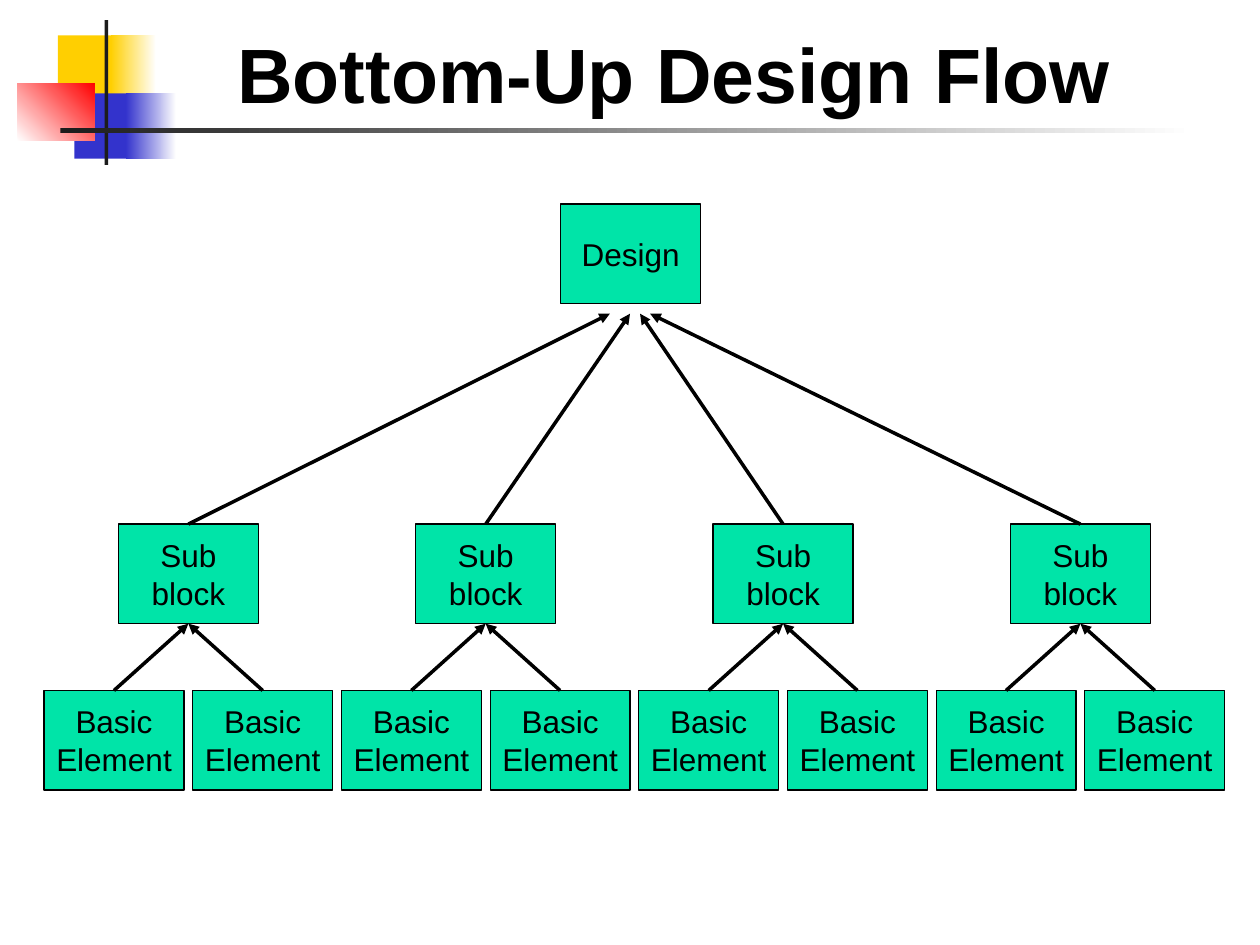
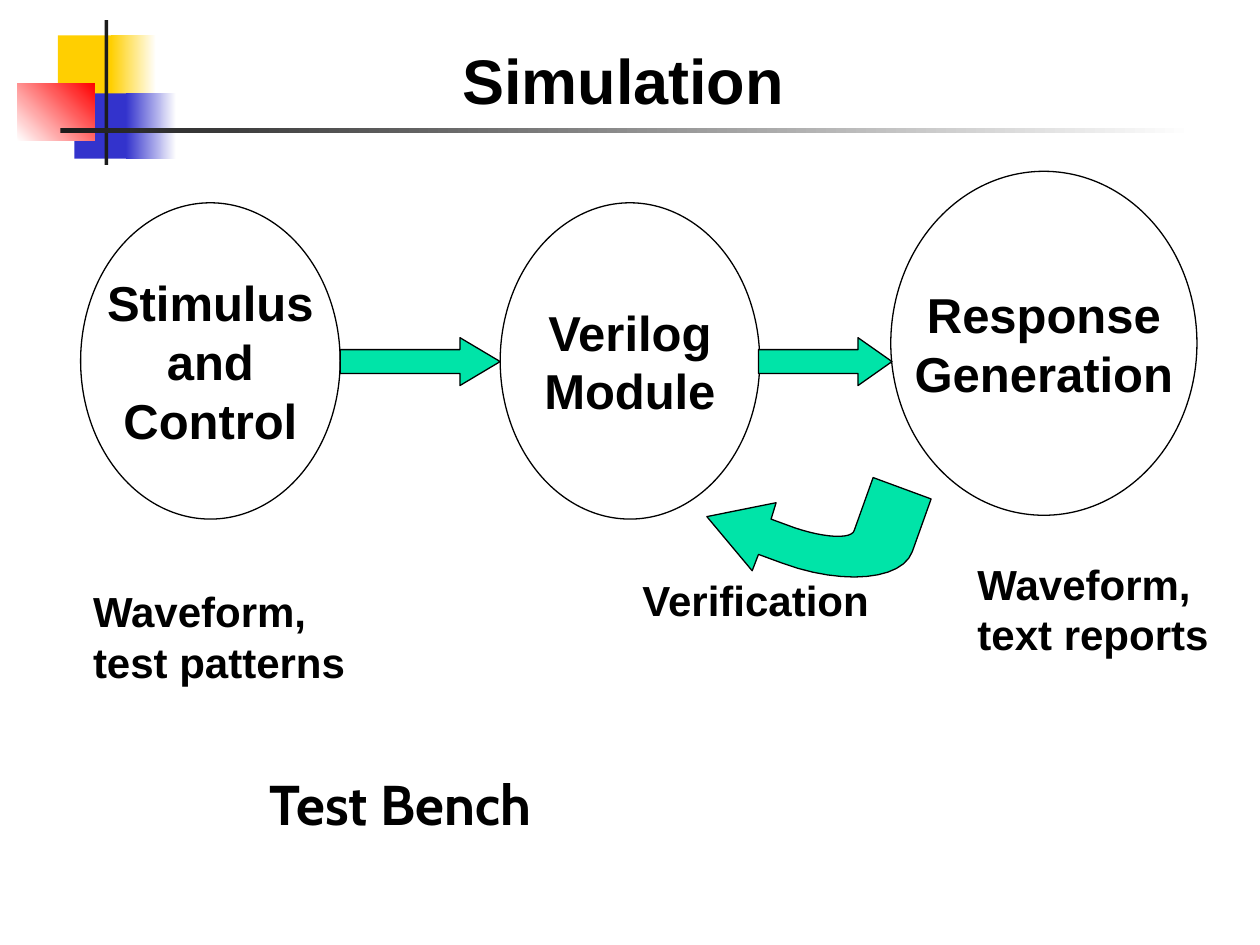
from lxml import etree
from pptx import Presentation
from pptx.dml.color import RGBColor
from pptx.enum.shapes import MSO_CONNECTOR, MSO_SHAPE
from pptx.enum.text import MSO_ANCHOR, PP_ALIGN
from pptx.oxml.ns import qn
from pptx.util import Inches, Pt

RECT, OVAL, ARROW = MSO_SHAPE.RECTANGLE, MSO_SHAPE.OVAL, MSO_SHAPE.RIGHT_ARROW
LINE = MSO_CONNECTOR.STRAIGHT
LEFT, CENTER = PP_ALIGN.LEFT, PP_ALIGN.CENTER
TOP, MIDDLE, BOTTOM = MSO_ANCHOR.TOP, MSO_ANCHOR.MIDDLE, MSO_ANCHOR.BOTTOM

HUE = {"ink": "000000", "paper": "FFFFFF", "green": "00E4A8", "gold": "FFCF01",
       "blue": "3333CC", "red": "FF0000", "dark": "1C1C1C"}
FONT = "Arial"

# Corner motif and title rule: place, colours (two make a gradient), angle
MOTIF = [
    ((0.46, 0.28, 0.48, 0.52), ["gold"], 0),
    ((0.88, 0.28, 0.36, 0.52), ["gold", "paper"], 0),
    ((0.59, 0.74, 0.46, 0.52), ["blue"], 0),
    ((1.0, 0.74, 0.4, 0.52), ["blue", "paper"], 0),
    ((0.14, 0.66, 0.61, 0.46), ["paper", "red"], 45),
    ((0.83, 0.16, 0.03, 1.15), ["dark"], 0),
    ((0.48, 1.02, 9, 0.04), ["dark", "paper"], 0),
]

# Slide 1: design tree
FLOW = "Bottom-Up Design Flow"
ROOT, SUB, BASE = ["Design"], ["Sub", "block"], ["Basic", "Element"]
BOX = (1.11, 0.79)
ROOT_AT = (4.45, 1.62)
SUB_Y, BASE_X, BASE_Y, STEP = 4.16, 0.35, 5.48, 1.18
TIPS, TIP_Y = [4.84, 5.0, 5.08, 5.16], 2.49

# Slide 2: simulation loop
STAGES = [
    (["Stimulus", "and", "Control"], (0.64, 1.61, 2.06, 2.51)),
    (["Verilog", "Module"], (3.97, 1.61, 2.06, 2.51)),
    (["Response", "Generation"], (7.07, 1.36, 2.43, 2.73)),
]
ARROWS = [((2.7, 2.68, 1.27, 0.38), 0.84), ((6.02, 2.68, 1.06, 0.38), 0.71)]
LABELS = [
    (["Waveform,", "test patterns"], (0.64, 4.6, 2.3, 0.9), 24, FONT),
    (["Waveform,", "text reports"], (7.66, 4.38, 2.13, 0.9), 24, FONT),
    (["Verification"], (5.0, 4.51, 2.11, 0.5), 24, FONT),
    (["Simulation"], (3.57, 0.28, 2.85, 0.7), 36, FONT),
    (["Test Bench"], (2.04, 6.06, 2.72, 0.64), 32, "Cabin"),
]
# Bent arrow outline: one point is a corner, three are a curve
BEND = [
    [(5.61, 4.1)], [(5.97, 4.53)], [(6.02, 4.4)], [(6.21, 4.47)],
    [(6.7, 4.65), (7.16, 4.6), (7.24, 4.38)],
    [(7.39, 3.96)], [(6.93, 3.79)], [(6.78, 4.21)],
    [(6.76, 4.28), (6.55, 4.27), (6.31, 4.19)],
    [(6.12, 4.12)], [(6.16, 3.99)],
]


def rgb(name):
    return RGBColor.from_string(HUE[name])


def inch(nums):
    return [Inches(n) for n in nums]


def paint(shape, hues, angle=0, edge=True):
    shape.shadow.inherit = False
    if len(hues) == 1:
        shape.fill.solid()
        shape.fill.fore_color.rgb = rgb(hues[0])
    else:
        shape.fill.gradient()
        shape.fill.gradient_angle = angle
        for stop, hue in zip(shape.fill.gradient_stops, hues):
            stop.color.rgb = rgb(hue)
    if edge:
        shape.line.color.rgb = rgb("ink")
        shape.line.width = Pt(0.75)
    else:
        shape.line.fill.background()
    return shape


def write(shape, lines, size, bold, align=CENTER, anchor=MIDDLE, font=FONT):
    frame = shape.text_frame
    frame.word_wrap = False
    frame.vertical_anchor = anchor
    for i, line in enumerate(lines):
        para = frame.add_paragraph() if i else frame.paragraphs[0]
        para.alignment = align
        run = para.add_run()
        run.text = line
        run.font.name, run.font.size, run.font.bold = font, Pt(size), bold
        run.font.color.rgb = rgb("ink")


def add_box(slide, lines, at):
    box = paint(slide.shapes.add_shape(RECT, *inch(at + BOX)), ["green"])
    write(box, lines, 18, False)
    return box


def add_link(slide, start, end=None, tip=(0, 0)):
    """Arrow from the top of one box to the foot of another, or to a tip."""
    link = slide.shapes.add_connector(LINE, 0, 0, *inch(tip))
    link.begin_connect(start, 0)
    if end is not None:
        link.end_connect(end, 2)
    link.line.color.rgb = rgb("ink")
    link.line.width = Pt(2)
    etree.SubElement(link.line._get_or_add_ln(), qn("a:tailEnd"), type="triangle")
    etree.SubElement(link._element.spPr, qn("a:effectLst"))


def trace(parts, steps=12):
    """Turn corners and cubic curves into a list of points."""
    points = []
    for part in parts:
        if len(part) == 1:
            points += part
            continue
        a, (b, c, d) = points[-1], part
        for k in range(1, steps + 1):
            t = k / steps
            u = 1 - t
            points.append(tuple(
                u**3 * a[j] + 3 * u * u * t * b[j] + 3 * u * t * t * c[j] + t**3 * d[j]
                for j in (0, 1)))
    return points


def add_slide(deck):
    slide = deck.slides.add_slide(deck.slide_layouts[6])
    for at, hues, angle in MOTIF:
        paint(slide.shapes.add_shape(RECT, *inch(at)), hues, angle, edge=False)
    return slide


def draw_flow(deck):
    slide = add_slide(deck)
    title = slide.shapes.add_textbox(*inch((1.05, -0.11, 8.6, 1.1)))
    write(title, [FLOW], 44, True, anchor=BOTTOM)

    # Boxes: each sub block sits over the middle of its pair
    bases = [add_box(slide, BASE, (BASE_X + i * STEP, BASE_Y)) for i in range(8)]
    subs = [add_box(slide, SUB, (BASE_X + (2 * i + 0.5) * STEP, SUB_Y))
            for i in range(4)]
    add_box(slide, ROOT, ROOT_AT)

    # Arrows upwards
    for sub, x in zip(subs, TIPS):
        add_link(slide, sub, tip=(x, TIP_Y))
    for i, base in enumerate(bases):
        add_link(slide, base, subs[i // 2])


def draw_loop(deck):
    slide = add_slide(deck)
    for lines, at in STAGES:
        oval = paint(slide.shapes.add_shape(OVAL, *inch(at)), ["paper"])
        write(oval, lines, 28, True)
    for at, head in ARROWS:
        arrow = paint(slide.shapes.add_shape(ARROW, *inch(at)), ["green"])
        arrow.adjustments[0], arrow.adjustments[1] = 0.5, head

    # Feedback arrow
    first, *rest = [inch(point) for point in trace(BEND)]
    path = slide.shapes.build_freeform(*first)
    path.add_line_segments(rest, close=True)
    paint(path.convert_to_shape(), ["green"])

    for lines, at, size, font in LABELS:
        label = slide.shapes.add_textbox(*inch(at))
        write(label, lines, size, True, LEFT, TOP, font)


def main():
    deck = Presentation()
    deck.slide_width, deck.slide_height = Inches(10), Inches(7.5)
    draw_flow(deck)
    draw_loop(deck)
    deck.save("out.pptx")


if __name__ == "__main__":
    main()
